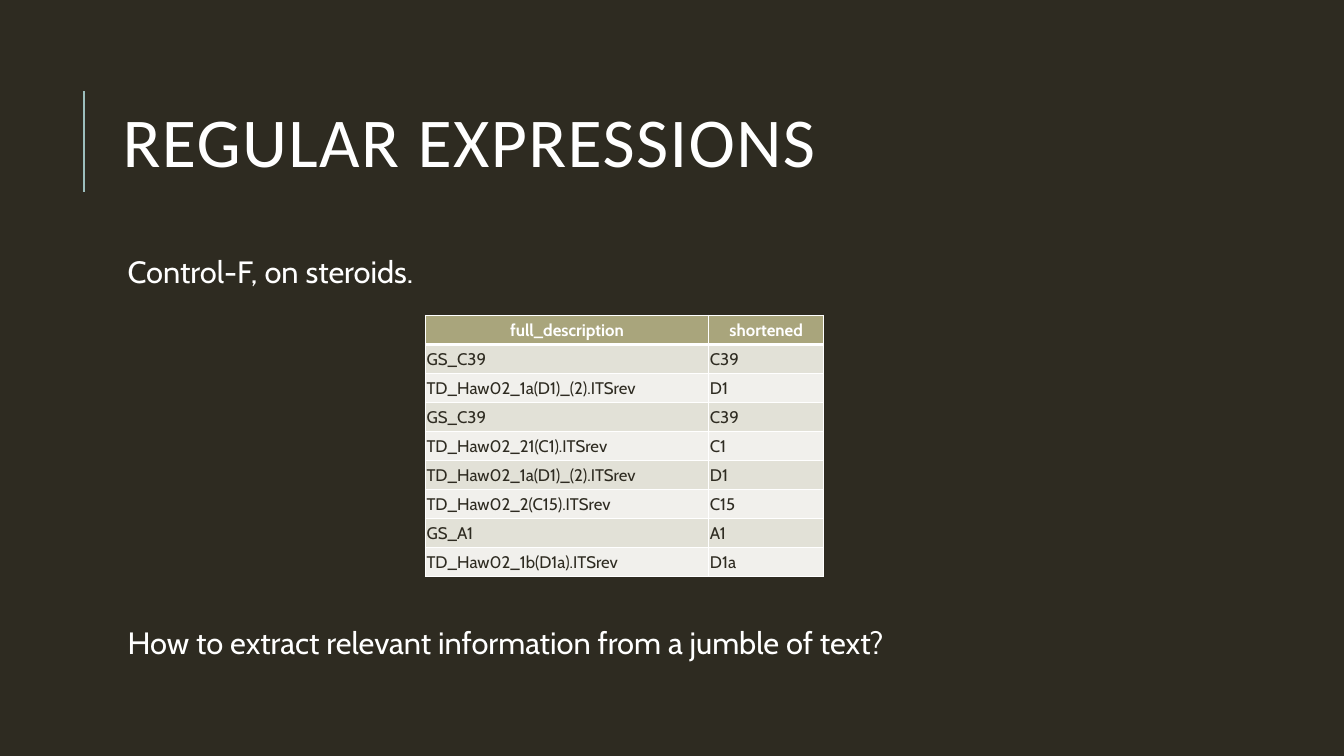
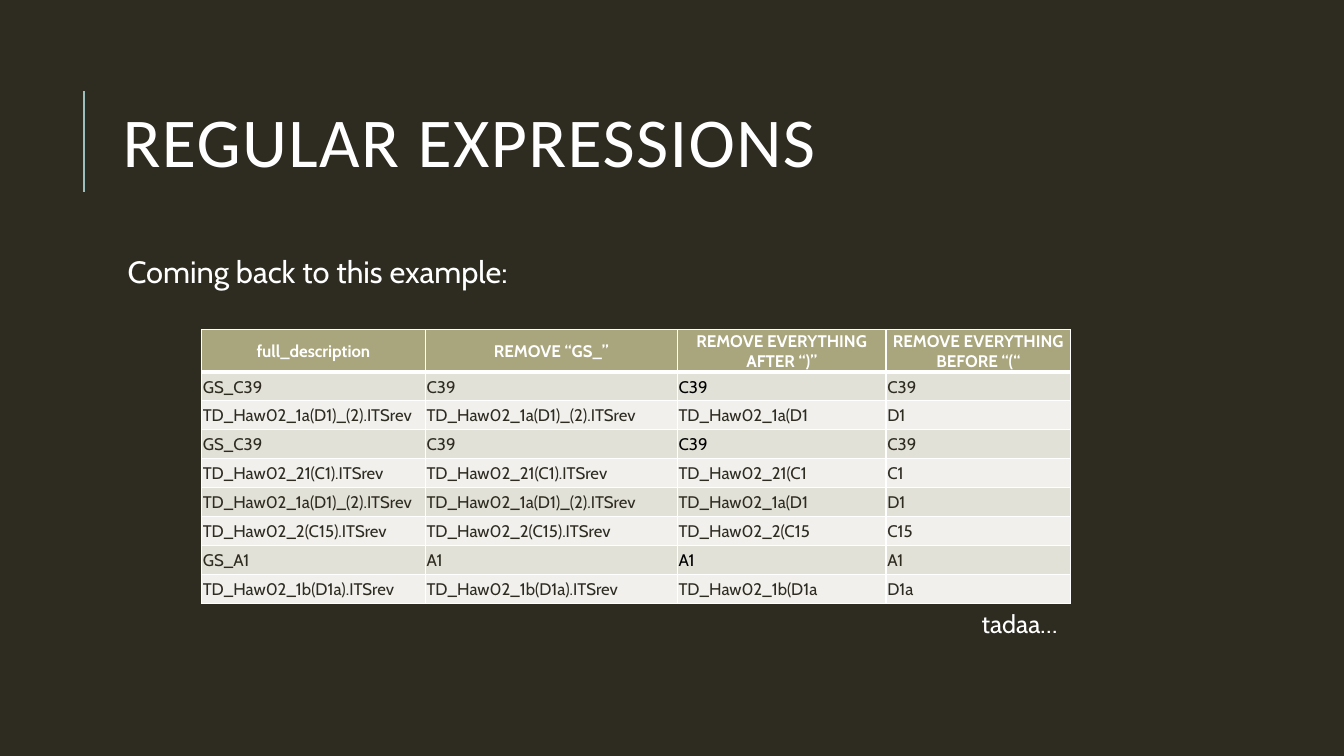
from lxml.etree import SubElement
from pptx import Presentation
from pptx.dml.color import RGBColor
from pptx.enum.shapes import MSO_CONNECTOR
from pptx.enum.text import MSO_ANCHOR, PP_ALIGN
from pptx.oxml.ns import qn
from pptx.util import Cm, Pt

DARK, WHITE, BLACK = "2E2B21", "FFFFFF", "000000"
TEAL, OLIVE = "9CBEBD", "A9A57C"
BANDS = ["E2E1D7", "F1F0EC"]
ROW = 0.73
EDGE = 2.84
WIDTH = 27

TITLE = {"name": "Calibri", "size": Pt(50)}
BODY = {"name": "Cabin", "size": Pt(22)}
SMALL = {"name": "Cabin", "size": Pt(18)}
HEAD = {"name": "Cabin", "size": Pt(12), "bold": True}
CELL = {"name": "Cabin", "size": Pt(12), "bold": False}
INSET = {"margin_left": Cm(0.03), "margin_right": Cm(0.03),
         "margin_top": Cm(0.03), "margin_bottom": 0,
         "vertical_anchor": MSO_ANCHOR.MIDDLE}
INDENT = {"margin_left": Cm(0.38), "margin_right": Cm(0.13),
          "margin_top": Cm(0.13), "margin_bottom": Cm(0.13)}

SAMPLES = ["GS_C39", "TD_Haw02_1a(D1)_(2).ITSrev", "GS_C39",
           "TD_Haw02_21(C1).ITSrev", "TD_Haw02_1a(D1)_(2).ITSrev",
           "TD_Haw02_2(C15).ITSrev", "GS_A1", "TD_Haw02_1b(D1a).ITSrev"]


def paint(hue):
    """Turn a hex string into a colour."""
    return RGBColor.from_string(hue)


def apply(item, look):
    """Set each attribute named in a dict."""
    for name, value in look.items():
        setattr(item, name, value)


def fill(item, hue):
    """Give an item a solid fill."""
    item.fill.solid()
    item.fill.fore_color.rgb = paint(hue)


def write(frame, text, font, hue=WHITE, **lines):
    """Write one styled paragraph and return its run."""
    para = frame.paragraphs[0]
    apply(para, lines)
    run = para.add_run()
    run.text = text
    apply(run.font, font)
    run.font.color.rgb = paint(hue)
    return run


def add_box(slide, left, top, width, height, **look):
    """Add a wrapping text box and return its frame."""
    box = slide.shapes.add_textbox(Cm(left), Cm(top), Cm(width), Cm(height))
    apply(box.text_frame, {"word_wrap": True, **look})
    return box.text_frame


def add_note(slide, top, text):
    """Add a line of body text."""
    frame = add_box(slide, EDGE, top, WIDTH, 1.37, **INDENT)
    write(frame, text, BODY, line_spacing=0.9)


def add_rule(slide):
    """Draw the upright rule beside the title."""
    rule = slide.shapes.add_connector(
        MSO_CONNECTOR.STRAIGHT, Cm(2.11), Cm(4.83), Cm(2.11), Cm(2.29))
    rule.line.color.rgb = paint(TEAL)
    rule.line.width = Pt(1.5)
    SubElement(rule._element.spPr, qn("a:effectLst"))


def add_page(deck, title):
    """Add a slide with its rule and title."""
    slide = deck.slides.add_slide(deck.slide_layouts[6])
    add_rule(slide)
    frame = add_box(slide, EDGE, 1.63, WIDTH, 4.17,
                    vertical_anchor=MSO_ANCHOR.MIDDLE)
    run = write(frame, title, TITLE, line_spacing=0.8)
    run.font._element.set("spc", "100")
    return slide


def edge(cell, base):
    """Draw white cell borders with a given base width."""
    props = cell._tc.get_or_add_tcPr()
    sides = {"L": 1, "R": 1, "T": 1, "B": base}
    for spot, (side, width) in enumerate(sides.items()):
        line = SubElement(props, qn(f"a:ln{side}"), w=str(Pt(width)))
        tint = SubElement(line, qn("a:solidFill"))
        SubElement(tint, qn("a:srgbClr"), val=WHITE)
        props.insert(spot, line)


def style(cell, text, font, back, hue, base=1, **lines):
    """Fill, border and label one cell."""
    apply(cell, INSET)
    fill(cell, back)
    edge(cell, base)
    write(cell.text_frame, text, font, hue, **lines)


def add_grid(slide, left, top, cols, heads, rows, first=ROW):
    """Add a banded table with a header row."""
    grid = slide.shapes.add_table(
        len(rows) + 1, len(cols), Cm(left), Cm(top),
        Cm(sum(cols)), Cm(first + ROW * len(rows))).table
    for col, width in zip(grid.columns, cols):
        col.width = Cm(width)
    for row in grid.rows:
        row.height = Cm(ROW)
    grid.rows[0].height = Cm(first)
    for col, text in enumerate(heads):
        style(grid.cell(0, col), text, HEAD, OLIVE, WHITE, 3,
              alignment=PP_ALIGN.CENTER)
    for down, row in enumerate(rows):
        for col, text in enumerate(row):
            plain = col == 2 and "(" not in text
            style(grid.cell(down + 1, col), text, CELL, BANDS[down % 2],
                  BLACK if plain else DARK)


def trim(text):
    """List each step from full name to short name."""
    bare = text.removeprefix("GS_")
    front = bare.split(")")[0]
    return [text, bare, front, front.split("(")[-1]]


def main():
    """Build and save both slides."""
    deck = Presentation()
    apply(deck, {"slide_width": Cm(33.87), "slide_height": Cm(19.05)})
    fill(deck.slide_master.background, DARK)
    steps = [trim(text) for text in SAMPLES]
    title = "REGULAR EXPRESSIONS"

    slide = add_page(deck, title)
    add_grid(slide, 10.72, 7.95, [7.14, 2.9],
             ["full_description", "shortened"],
             [[step[0], step[-1]] for step in steps])
    add_note(slide, 6.35, "Control-F, on steroids.")
    add_note(slide, 15.7,
             "How to extract relevant information from a jumble of text?")

    slide = add_page(deck, title)
    add_grid(slide, 5.08, 8.31, [5.64, 6.35, 5.26, 4.65],
             ["full_description", "REMOVE “GS_”",
              "REMOVE EVERYTHING AFTER “)”",
              "REMOVE EVERYTHING BEFORE “(“"], steps, 1.06)
    add_note(slide, 6.35, "Coming back to this example:")
    frame = add_box(slide, 22.48, 15.21, 4.42, 1.02)
    write(frame, "tadaa…", SMALL, alignment=PP_ALIGN.RIGHT)

    deck.save("out.pptx")


if __name__ == "__main__":
    main()
